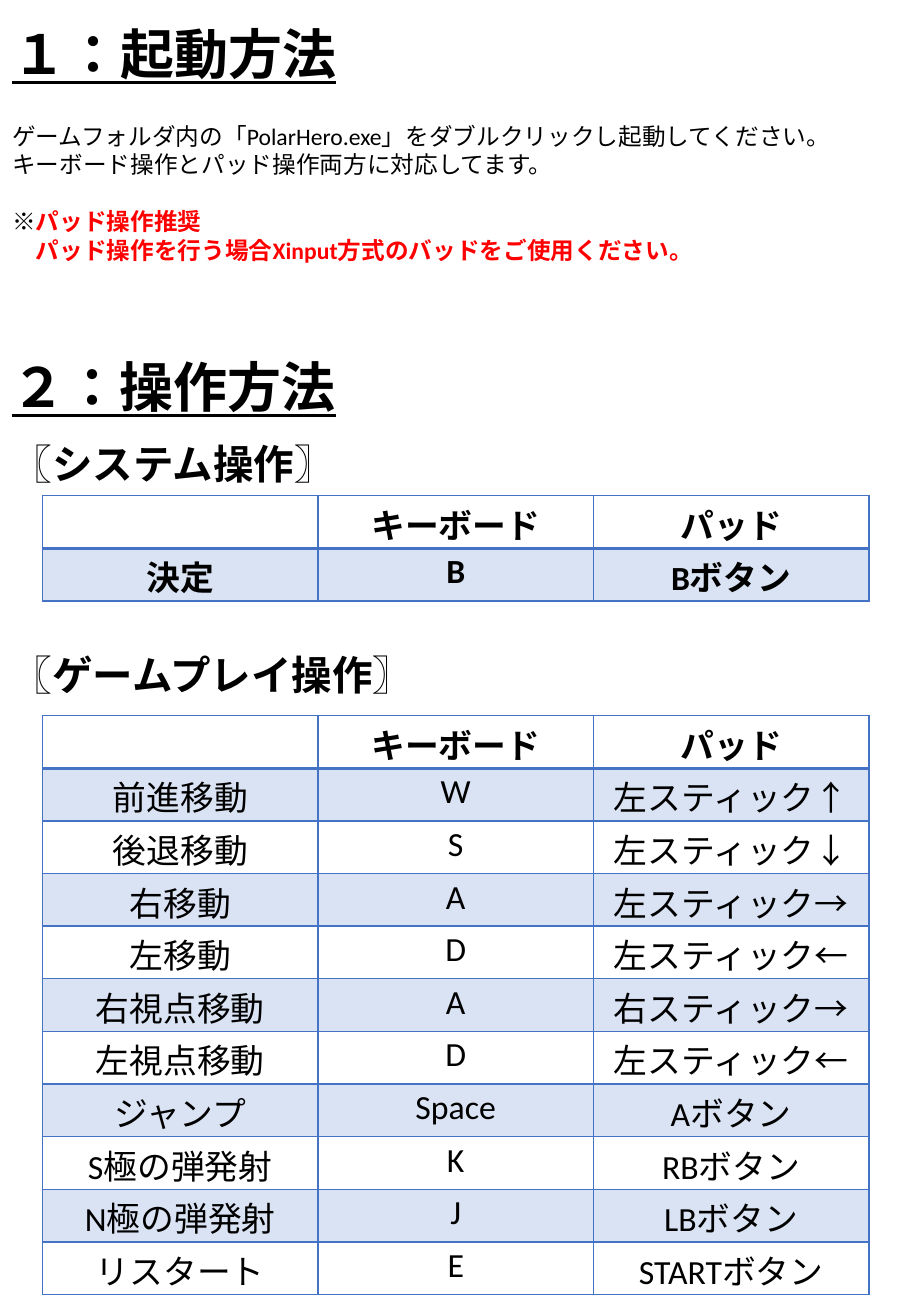
"""Build the game manual page: how to start the game and its key tables."""
import lxml.etree
import pptx
import pptx.dml.color
import pptx.enum.lang
import pptx.enum.text
import pptx.oxml.ns
import pptx.util

Cm, Pt = pptx.util.Cm, pptx.util.Pt
qn = pptx.oxml.ns.qn
BLACK, RED, BLUE, PALE_BLUE = "000000", "FF0000", "4472C4", "DAE3F3"


def rgb(code):
    """Turn a hex string into a colour."""
    return pptx.dml.color.RGBColor.from_string(code)


def add_run(paragraph, text, size, bold=True, underline=False, color=BLACK):
    """Add one formatted run to a paragraph."""
    run = paragraph.add_run()
    run.text = text
    font = run.font
    font.name, font.size = "Calibri", Pt(size)
    font.bold, font.underline = bold, underline
    font.color.rgb = rgb(color)
    font.language_id = pptx.enum.lang.MSO_LANGUAGE_ID.JAPANESE


deck = pptx.Presentation()
deck.slide_width, deck.slide_height = Cm(19.05), Cm(27.51)
page = deck.slides.add_slide(deck.slide_layouts[1])

startup_heading, startup_text = page.placeholders
controls_heading = page.shapes.add_textbox(0, 0, 0, 0)
gameplay_heading = page.shapes.add_textbox(0, 0, 0, 0)
placements = [
    (startup_heading, 0.3, 19.05, 1.7),
    (startup_text, 2.42, 19.05, 3.84),
    (controls_heading, 7.26, 7.34, 3.1),
    (gameplay_heading, 13.46, 9.07, 1.27),
]
for block, top, width, height in placements:
    block.left, block.top = Cm(0), Cm(top)
    block.width, block.height = Cm(width), Cm(height)
    frame = block.text_frame
    frame.word_wrap = width > 10
    frame.auto_size = pptx.enum.text.MSO_AUTO_SIZE.NONE
    frame.vertical_anchor = pptx.enum.text.MSO_ANCHOR.TOP

for heading, text in [(startup_heading, "１：起動方法"), (controls_heading, "２：操作方法")]:
    title_line = heading.text_frame.paragraphs[0]
    title_line.alignment = pptx.enum.text.PP_ALIGN.LEFT
    add_run(title_line, text, 32, underline=True)

system_line = controls_heading.text_frame.add_paragraph()
system_line.space_before = Pt(12.5)
add_run(system_line, "〖システム操作〗", 24)
add_run(gameplay_heading.text_frame.paragraphs[0], "〖ゲームプレイ操作〗", 24)

startup_lines = [
    (0, 0, [("ゲームフォルダ内の「PolarHero.exe」をダブルクリックし起動してください。", False, BLACK)]),
    (0, 0, [("キーボード操作とパッド操作両方に対応してます。", False, BLACK)]),
    (17, 0, [("※", False, BLACK), ("パッド操作推奨", True, RED)]),
    (0, 14, [("パッド操作を行う場合Xinput方式のバッドをご使用ください。", True, RED)]),
]
for number, (gap, indent, runs) in enumerate(startup_lines):
    frame = startup_text.text_frame
    line = frame.add_paragraph() if number else frame.paragraphs[0]
    line.space_before = Pt(gap)
    properties = line._p.get_or_add_pPr()
    properties.set("marL", str(Pt(indent)))
    properties.set("indent", "0")
    lxml.etree.SubElement(properties, qn("a:buNone"))
    for text, bold, color in runs:
        add_run(line, text, 14, bold, color=color)

header = ("", "キーボード", "パッド")
system_keys = [header, ("決定", "B", "Bボタン")]
gameplay_keys = [
    header,
    ("前進移動", "W", "左スティック↑"),
    ("後退移動", "S", "左スティック↓"),
    ("右移動", "A", "左スティック→"),
    ("左移動", "D", "左スティック←"),
    ("右視点移動", "A", "右スティック→"),
    ("左視点移動", "D", "左スティック←"),
    ("ジャンプ", "Space", "Aボタン"),
    ("S極の弾発射", "K", "RBボタン"),
    ("N極の弾発射", "J", "LBボタン"),
    ("リスタート", "E", "STARTボタン"),
]
ROW_HEIGHT, COLUMN_WIDTH = 1.1, 5.76
for top, keys, bold_body in [(10.36, system_keys, True), (14.96, gameplay_keys, False)]:
    key_table = page.shapes.add_table(
        len(keys), len(header), Cm(0.89), Cm(top),
        Cm(COLUMN_WIDTH * len(header)), Cm(ROW_HEIGHT * len(keys))).table
    key_table.first_row = key_table.horz_banding = False
    for column in key_table.columns:
        column.width = Cm(COLUMN_WIDTH)
    for row, labels in enumerate(keys):
        key_table.rows[row].height = Cm(ROW_HEIGHT)
        for column, label in enumerate(labels):
            cell = key_table.cell(row, column)
            cell.margin_top, cell.margin_bottom = Cm(0.07), Cm(0)
            for side in "LRTB":
                under_header = (row, side) in [(0, "B"), (1, "T")]
                border = lxml.etree.SubElement(
                    cell._tc.get_or_add_tcPr(), qn("a:ln" + side),
                    w=str(Pt(2 if under_header else 1)))
                paint = lxml.etree.SubElement(border, qn("a:solidFill"))
                lxml.etree.SubElement(paint, qn("a:srgbClr"), val=BLUE)
            if row % 2:
                cell.fill.solid()
                cell.fill.fore_color.rgb = rgb(PALE_BLUE)
            else:
                cell.fill.background()
            if label:
                entry = cell.text_frame.paragraphs[0]
                entry.alignment = pptx.enum.text.PP_ALIGN.CENTER
                add_run(entry, label, 20, row == 0 or bold_body)

deck.save("out.pptx")
